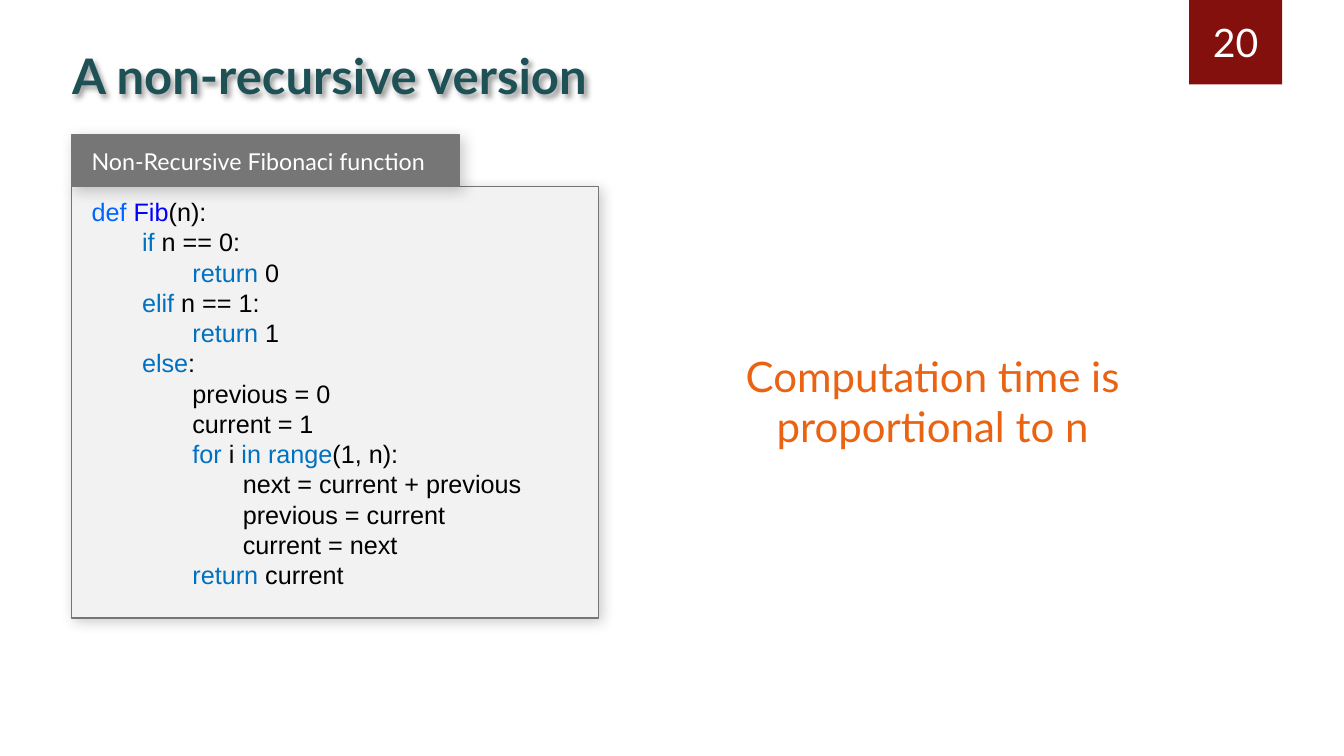
from pptx import Presentation
from pptx.dml.color import RGBColor
from pptx.enum.shapes import MSO_SHAPE as Shape
from pptx.enum.text import MSO_ANCHOR as Anchor, PP_ALIGN as Align
from pptx.oxml.ns import qn
from pptx.util import Cm, Pt
from lxml.etree import SubElement

# Content
TITLE = "A non-recursive version"
PAGE_NUMBER = "20"
CODE_LABEL = "Non-Recursive Fibonaci function"
REMARK = "Computation time is proportional to n"

BLACK, WHITE, GREY, KEYWORD = "000000", "FFFFFF", "767676", "0070C0"
# Each line of code: depth, then (text, colour) spans
CODE = [
    (0, [("def ", "0066FF"), ("Fib", "0000FF"), ("(n):", BLACK)]),
    (1, [("if", KEYWORD), (" n == 0:", BLACK)]),
    (2, [("return", KEYWORD), (" 0", BLACK)]),
    (1, [("elif", KEYWORD), (" n == 1:", BLACK)]),
    (2, [("return", KEYWORD), (" 1", BLACK)]),
    (1, [("else", KEYWORD), (":", BLACK)]),
    (2, [("previous = 0", BLACK)]),
    (2, [("current = 1", BLACK)]),
    (2, [("for ", KEYWORD), ("i ", BLACK), ("in range", KEYWORD), ("(1, n):", BLACK)]),
    (3, [("next = current + previous", BLACK)]),
    (3, [("previous = current", BLACK)]),
    (3, [("current = next", BLACK)]),
    (2, [("return", KEYWORD), (" current", BLACK)]),
]

# Layout in cm: left, top, width, height
LEFT, PANEL_TOP, LABEL_HEIGHT = 1.8, 4.7, 1.3
TITLE_AT = (1.57, 0.99, 27.74, 1.78)
PAGE_AT = (29.97, 0, 2.34, 2.13)
PANEL_AT = (LEFT, PANEL_TOP, 13.28, 10.87)
LABEL_AT = (LEFT, PANEL_TOP - LABEL_HEIGHT, 9.78, LABEL_HEIGHT)
REMARK_AT = (17.22, 8.71, 12.57, 2.82)
TAB = 1.27
PADDING = (0.51, 0.25)


def colour(value):
    return RGBColor.from_string(value)


def style(font, name, size, value, bold=False):
    font.name, font.size, font.bold = name, Pt(size), bold
    font.color.rgb = colour(value)


def add_shadow(box, alpha, blur, distance):
    effects = box._element.spPr.find(qn("a:effectLst"))
    shadow = SubElement(effects, qn("a:outerShdw"), blurRad=str(Pt(blur)),
                        dist=str(Pt(distance)), dir=str(45 * 60000),
                        algn="tl", rotWithShape="0")
    tint = SubElement(shadow, qn("a:srgbClr"), val=BLACK)
    SubElement(tint, qn("a:alpha"), val=str(alpha * 1000))


def add_box(slide, place, fill=None, line=None, anchor=Anchor.TOP, padding=None):
    place = [Cm(length) for length in place]
    if fill:
        box = slide.shapes.add_shape(Shape.RECTANGLE, *place)
        box.fill.solid()
        box.fill.fore_color.rgb = colour(fill)
        if line:
            box.line.color.rgb = colour(line)
            box.line.width = Pt(1)
        else:
            box.line.fill.background()
    else:
        box = slide.shapes.add_textbox(*place)
    box.shadow.inherit = False
    frame = box.text_frame
    frame.word_wrap = True
    frame.vertical_anchor = anchor
    if padding:
        frame.margin_left = frame.margin_right = Cm(padding[0])
        frame.margin_top = frame.margin_bottom = Cm(padding[1])
    return box


def write(box, text, size, value, align=Align.LEFT, bold=False):
    para = box.text_frame.paragraphs[0]
    para.text = text
    para.alignment = align
    style(para.runs[0].font, "Lato", size, value, bold)


def write_code(box, lines):
    frame = box.text_frame
    for number, (depth, spans) in enumerate(lines):
        para = frame.add_paragraph() if number else frame.paragraphs[0]
        para.alignment = Align.LEFT
        para.line_spacing = Pt(21.6)
        stops = SubElement(para._p.get_or_add_pPr(), qn("a:tabLst"))
        for stop in range(1, 4):
            SubElement(stops, qn("a:tab"), pos=str(Cm(TAB * stop)), algn="l")
        indent = [("\t" * depth, BLACK)] if depth else []
        for text, value in indent + spans:
            span = para.add_run()
            span.text = text
            style(span.font, "Arial", 18, value)


def main():
    deck = Presentation()
    deck.slide_width, deck.slide_height = Cm(33.87), Cm(19.05)
    page = deck.slides.add_slide(deck.slide_layouts[6])

    # Heading and page number
    title = add_box(page, TITLE_AT, anchor=Anchor.MIDDLE)
    write(title, TITLE, 35, "1E5155", bold=True)
    add_shadow(title, 40, 4, 3)
    badge = add_box(page, PAGE_AT, "84100E", anchor=Anchor.MIDDLE)
    write(badge, PAGE_NUMBER, 28, WHITE, Align.CENTER)

    # Code panel with its label
    panel = add_box(page, PANEL_AT, "F2F2F2", GREY, padding=PADDING)
    write_code(panel, CODE)
    label = add_box(page, LABEL_AT, GREY, GREY, Anchor.MIDDLE, PADDING)
    write(label, CODE_LABEL, 16.6, WHITE)
    for box in (panel, label):
        add_shadow(box, 20, 10, 3)

    # Remark
    remark = add_box(page, REMARK_AT)
    write(remark, REMARK, 30, "EA6312", Align.CENTER)

    deck.save("out.pptx")


if __name__ == "__main__":
    main()
